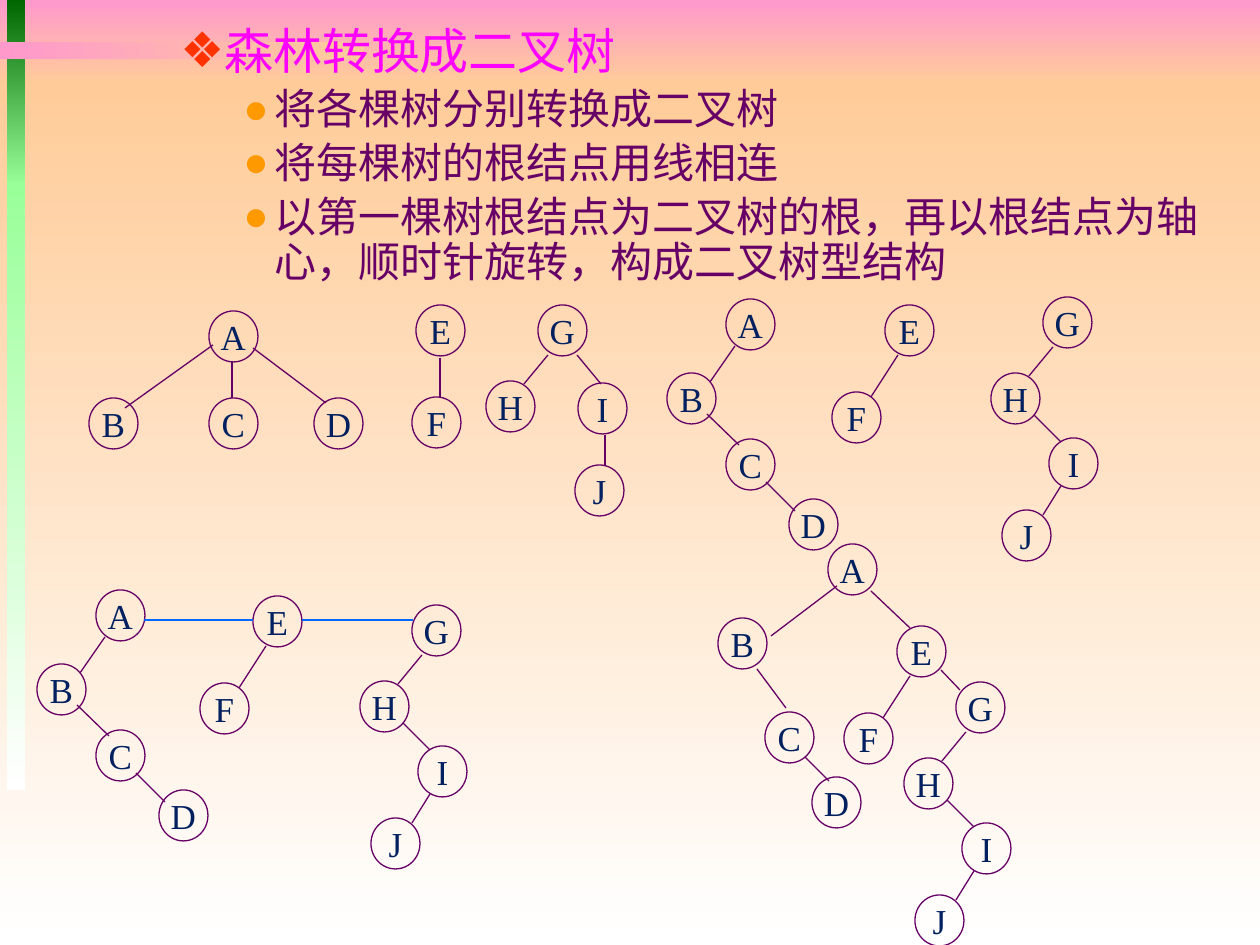
from dataclasses import dataclass

from lxml import etree
from pptx import Presentation
from pptx import util as u
from pptx.dml.color import RGBColor
from pptx.enum import shapes, text
from pptx.oxml.ns import qn

PX = u.Inches(1) // 126
NODE_W, NODE_H = 49, 51
PURPLE, NAVY, BLUE = "660066", "002060", "0066FF"


@dataclass(frozen=True)
class Band:
    x: int
    y: int
    w: int
    h: int
    start: str
    end: str
    angle: int = 270


@dataclass(frozen=True)
class Tree:
    """Nodes (label, left, top) and edges (x1, y1, x2, y2), from the root's corner."""
    nodes: tuple[tuple[str, int, int], ...]
    edges: tuple[tuple[int, int, int, int], ...]


@dataclass(frozen=True)
class Bullet:
    words: str
    mark: str
    mark_color: str
    color: str
    size: int
    margin: float


BANDS = (
    Band(0, 0, 1260, 84, "FF99CC", "FFCC99"),
    Band(0, 84, 1260, 861, "FFCC99", "FFFFFF"),
    Band(7, 0, 18, 186, "006600", "99FF99"),
    Band(7, 184, 18, 606, "99FF99", "FFFFFF"),
    Band(0, 42, 364, 17, "FF99CC", "FFCC99", 0),
)

STEPS = (
    "将各棵树分别转换成二叉树",
    "将每棵树的根结点用线相连",
    "以第一棵树根结点为二叉树的根，再以根结点为轴心，顺时针旋转，构成二叉树型结构",
)
BULLETS = [Bullet("森林转换成二叉树", "❖", "FF3300", "FF00FF", 28, 1.25)]
BULLETS += [Bullet(step, "●", "FF9900", PURPLE, 24, 1.75) for step in STEPS]

# Trees of the forest
FOREST_A = Tree(
    (("A", 0, 0), ("B", -120, 87), ("C", 0, 87), ("D", 105, 87)),
    ((23, 50, 23, 87), (4, 34, -84, 97), (44, 37, 117, 92)))
FOREST_E = Tree((("E", 0, 0), ("F", -4, 92)), ((24, 53, 24, 93),))
FOREST_G = Tree(
    (("G", 0, 0), ("H", -52, 76), ("I", 40, 78), ("J", 37, 160)),
    ((10, 50, -14, 79), (39, 50, 63, 79), (67, 130, 67, 161)))

# The same trees in binary form
BINARY_A = Tree(
    (("A", 0, 0), ("B", -59, 74), ("C", 0, 140), ("D", 63, 200)),
    ((9, 47, -16, 83), (-19, 115, 13, 146), (40, 183, 69, 212)))
BINARY_E = Tree((("E", 0, 0), ("F", -53, 87)), ((13, 50, -14, 92),))
BINARY_G = Tree(
    (("G", 0, 0), ("H", -52, 76), ("I", 6, 141), ("J", -41, 213)),
    ((10, 50, -14, 79), (-9, 118, 18, 145), (18, 189, 0, 218)))

# First tree after rotation, with the edges that lead to E and G
ROTATED_A = Tree(
    (("A", 0, 0), ("B", -110, 74), ("C", -63, 168), ("D", -16, 233)),
    ((9, 42, -57, 92), (-71, 125, -42, 164), (-23, 213, 1, 237),
     (43, 47, 82, 84), (113, 126, 132, 146)))

PLACED_TREES = (
    (FOREST_A, 209, 311), (FOREST_E, 416, 305), (FOREST_G, 538, 305),
    (BINARY_A, 726, 299), (BINARY_E, 885, 305), (BINARY_G, 1043, 297),
    (BINARY_A, 96, 590), (BINARY_E, 253, 596), (BINARY_G, 412, 605),
    (ROTATED_A, 828, 544), (BINARY_E, 897, 626), (BINARY_G, 956, 682),
)
ROOT_LINKS = ((144, 620, 253, 620), (302, 620, 413, 620))


def px(*lengths: int) -> list[int]:
    return [u.Emu(n * PX) for n in lengths]


def rgb(color: str) -> RGBColor:
    return RGBColor.from_string(color)


def add_text(p, words: str, *, size: int, color: str, font: str) -> None:
    r = p.add_run()
    r.text = words
    r.font.size = u.Pt(size)
    r.font.name = font
    r.font.color.rgb = rgb(color)


def draw_band(slide, band: Band) -> None:
    sp = slide.shapes.add_shape(shapes.MSO_SHAPE.RECTANGLE,
                                *px(band.x, band.y, band.w, band.h))
    sp.shadow.inherit = False
    sp.line.fill.background()
    sp.fill.gradient()
    sp.fill.gradient_angle = band.angle
    for stop, color in zip(sp.fill.gradient_stops, (band.start, band.end)):
        stop.color.rgb = rgb(color)


def set_bullet(p, bullet: Bullet) -> None:
    pPr = p._p.get_or_add_pPr()
    pPr.set("marL", str(u.Inches(bullet.margin)))
    pPr.set("indent", str(u.Inches(-0.25)))
    color = etree.SubElement(pPr, qn("a:buClr"))
    etree.SubElement(color, qn("a:srgbClr"), val=bullet.mark_color)
    etree.SubElement(pPr, qn("a:buFont"), typeface="Arial")
    etree.SubElement(pPr, qn("a:buChar"), char=bullet.mark)


def draw_bullets(slide, bullets: list[Bullet]) -> None:
    tf = slide.shapes.add_textbox(*px(42, 21, 1172, 272)).text_frame
    tf.word_wrap = True
    for i, bullet in enumerate(bullets):
        p = tf.add_paragraph() if i else tf.paragraphs[0]
        p.line_spacing = 0.9
        p.space_before = u.Pt(bullet.size * 0.2)
        set_bullet(p, bullet)
        add_text(p, bullet.words, size=bullet.size, color=bullet.color, font="Arial")


def draw_line(slide, ends: tuple[int, int, int, int], color: str = PURPLE) -> None:
    line = slide.shapes.add_connector(shapes.MSO_CONNECTOR.STRAIGHT, *px(*ends))
    line.line.color.rgb = rgb(color)
    line.line.width = u.Pt(0.75)
    etree.SubElement(line._element.spPr, qn("a:effectLst"))


def draw_node(slide, label: str, x: int, y: int) -> None:
    sp = slide.shapes.add_shape(shapes.MSO_SHAPE.OVAL, *px(x, y, NODE_W, NODE_H))
    sp.shadow.inherit = False
    sp.fill.background()
    sp.line.color.rgb = rgb(PURPLE)
    sp.line.width = u.Pt(0.75)
    tf = sp.text_frame
    tf.word_wrap = False
    tf.vertical_anchor = text.MSO_ANCHOR.MIDDLE
    p = tf.paragraphs[0]
    p.alignment = text.PP_ALIGN.CENTER
    add_text(p, label, size=20, color=NAVY, font="Times New Roman")


def draw_tree(slide, tree: Tree, x: int, y: int) -> None:
    for label, dx, dy in tree.nodes:
        draw_node(slide, label, x + dx, y + dy)
    for x1, y1, x2, y2 in tree.edges:
        draw_line(slide, (x + x1, y + y1, x + x2, y + y2))


def main() -> None:
    prs = Presentation()
    prs.slide_width, prs.slide_height = u.Inches(10), u.Inches(7.5)
    slide = prs.slides.add_slide(prs.slide_layouts[6])
    for band in BANDS:
        draw_band(slide, band)
    draw_bullets(slide, BULLETS)
    for tree, x, y in PLACED_TREES:
        draw_tree(slide, tree, x, y)
    for link in ROOT_LINKS:
        draw_line(slide, link, BLUE)
    prs.save("out.pptx")


if __name__ == "__main__":
    main()
